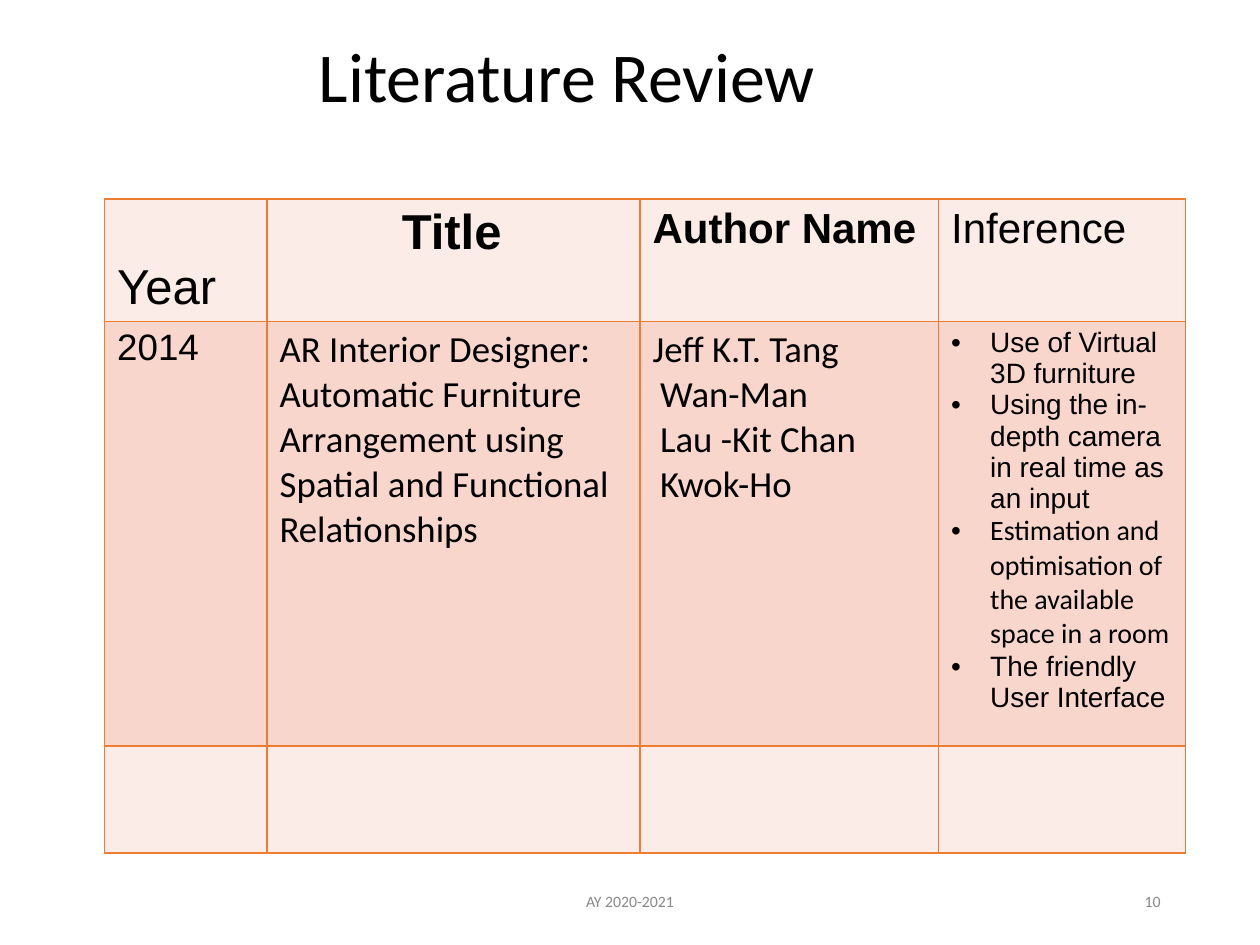
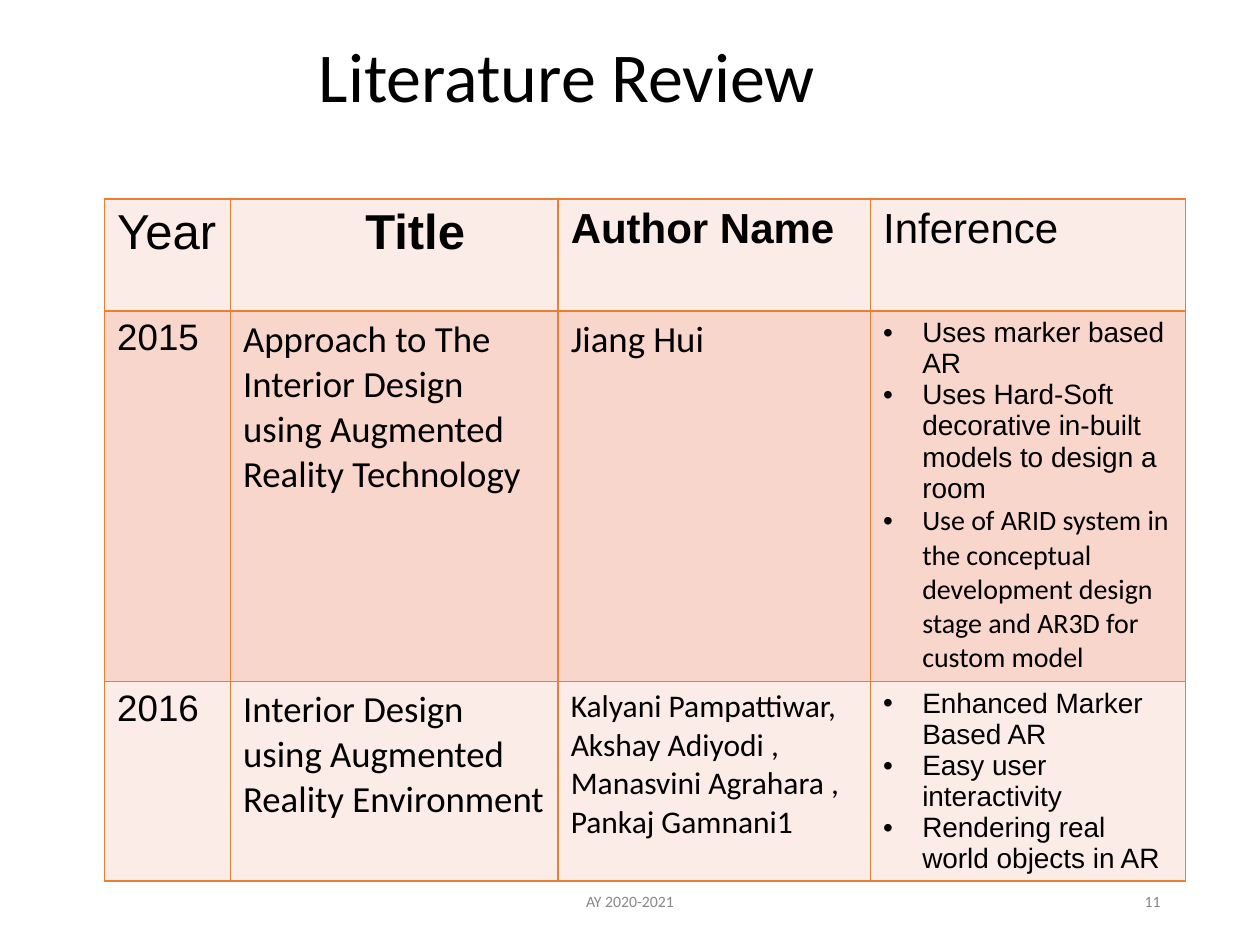
from dataclasses import dataclass

from lxml import etree
from pptx import Presentation
from pptx.dml.color import RGBColor
from pptx.enum.text import MSO_ANCHOR, MSO_AUTO_SIZE, PP_ALIGN
from pptx.oxml.ns import qn
from pptx.slide import Slide
from pptx.table import _Cell
from pptx.text.text import _Paragraph
from pptx.util import Pt

LEFT, CENTER, RIGHT = PP_ALIGN.LEFT, PP_ALIGN.CENTER, PP_ALIGN.RIGHT
TOP, MIDDLE, BOTTOM = MSO_ANCHOR.TOP, MSO_ANCHOR.MIDDLE, MSO_ANCHOR.BOTTOM

BLACK = RGBColor(0x00, 0x00, 0x00)
GREY = RGBColor(0x88, 0x88, 0x88)
WHITE = RGBColor(0xFF, 0xFF, 0xFF)
ORANGE = RGBColor(0xED, 0x7D, 0x31)
PALE = RGBColor(0xFC, 0xEC, 0xE7)
PINK = RGBColor(0xF8, 0xD6, 0xCC)
SANS, BODY = "Arial", "Calibri"

UNIT = 9144  # EMU in one px, 100 px to the inch
PAD = 10
HANG = 31


def px(n: int) -> int:
    return n * UNIT


@dataclass(frozen=True)
class Line:
    text: str
    size: int
    face: str = BODY
    bold: bool = False
    bullet: bool = False
    indent: int = 0


@dataclass(frozen=True)
class Entry:
    lines: tuple[Line, ...] = ()
    left: int = PAD
    anchor: MSO_ANCHOR = TOP


@dataclass(frozen=True)
class Review:
    page: int
    cols: tuple[int, ...]
    rows: tuple[int, ...]
    year: Entry
    papers: tuple[tuple[Entry, ...], ...]


# Shorthands for the kinds of table entry
def head(text: str, size: int, bold: bool = False, left: int = PAD,
         anchor: MSO_ANCHOR = TOP) -> Entry:
    return Entry((Line(text, size, SANS, bold),), left, anchor)


def body(*texts: str, size: int = 21) -> Entry:
    first, *rest = texts
    return Entry((Line(first, size), *(Line(t, size, indent=6) for t in rest)))


def points(*texts: str, serif: int = -1) -> Entry:
    """Bullets in the sans face; the one at index serif is in the body face."""
    return Entry(tuple(Line(t, 16, BODY if i == serif else SANS, bullet=True)
                       for i, t in enumerate(texts)))


HEADS = (
    head("Title", 28, bold=True, left=107),
    head("Author Name", 24, bold=True),
    head("Inference", 24),
)

REVIEWS = (
    Review(
        10, (129, 296, 237, 196), (97, 337, 85),
        head("Year", 28, anchor=BOTTOM),
        (
            (
                head("2014", 21),
                body("AR Interior Designer: Automatic Furniture Arrangement "
                     "using Spatial and Functional Relationships"),
                body("Jeff K.T. Tang", "Wan-Man", "Lau -Kit Chan Kwok-Ho"),
                points("Use of Virtual 3D furniture",
                       "Using the in-depth camera in real time as an input",
                       "Estimation and optimisation of the available space "
                       "in a room",
                       "The friendly User Interface", serif=2),
            ),
            (Entry(),) * 4,
        ),
    ),
    Review(
        11, (100, 260, 248, 250), (89, 294, 158),
        head("Year", 28),
        (
            (
                head("2015", 21),
                body("Approach to The Interior Design using Augmented "
                     "Reality Technology"),
                body("Jiang Hui"),
                points("Uses marker based AR",
                       "Uses Hard-Soft decorative in-built models to design "
                       "a room",
                       "Use of ARID system in the conceptual development "
                       "design stage and AR3D for custom model", serif=2),
            ),
            (
                head("2016", 21),
                body("Interior Design using Augmented Reality Environment"),
                body("Kalyani Pampattiwar, Akshay Adiyodi , "
                     "Manasvini Agrahara , Pankaj Gamnani1", size=18),
                points("Enhanced Marker Based AR", "Easy user interactivity",
                       "Rendering real world objects in AR"),
            ),
        ),
    ),
)


# Text
def style(para: _Paragraph, size: int, face: str, color: RGBColor,
          bold: bool = False) -> None:
    font = para.font
    font.size, font.name, font.bold = Pt(size), face, bold
    font.color.rgb = color


def write(para: _Paragraph, line: Line) -> None:
    para.text = line.text
    props = para._p.get_or_add_pPr()
    if line.bullet:
        props.set("marL", str(px(HANG)))
        props.set("indent", str(-px(HANG)))
        tint = etree.SubElement(props, qn("a:buClr"))
        etree.SubElement(tint, qn("a:srgbClr"), val=str(BLACK))
        etree.SubElement(props, qn("a:buFont"), typeface=SANS)
        etree.SubElement(props, qn("a:buChar"), char="•")
    elif line.indent:
        props.set("marL", str(px(line.indent)))
    style(para, line.size, line.face, BLACK, line.bold)


# Table
def border(cell: _Cell) -> None:
    props = cell._tc.get_or_add_tcPr()
    for side in ("lnL", "lnR", "lnT", "lnB"):
        edge = etree.SubElement(props, qn(f"a:{side}"), w=str(Pt(1)))
        fill = etree.SubElement(edge, qn("a:solidFill"))
        etree.SubElement(fill, qn("a:srgbClr"), val=str(ORANGE))


def fill_cell(cell: _Cell, entry: Entry, color: RGBColor) -> None:
    border(cell)
    cell.fill.solid()
    cell.fill.fore_color.rgb = color
    cell.margin_left, cell.margin_right = px(entry.left), px(PAD)
    cell.margin_top = cell.margin_bottom = px(5)
    cell.vertical_anchor = entry.anchor
    frame = cell.text_frame
    for i, line in enumerate(entry.lines):
        write(frame.add_paragraph() if i else frame.paragraphs[0], line)


def add_grid(slide: Slide, review: Review) -> None:
    rows = ((review.year, *HEADS), *review.papers)
    table = slide.shapes.add_table(
        len(rows), len(review.cols), px(83), px(158),
        px(sum(review.cols)), px(sum(review.rows))).table
    for col, width in zip(table.columns, review.cols):
        col.width = px(width)
    for r, (row, height) in enumerate(zip(rows, review.rows)):
        table.rows[r].height = px(height)
        for c, entry in enumerate(row):
            fill_cell(table.cell(r, c), entry, PINK if r % 2 else PALE)


# Title and footer
def add_title(slide: Slide) -> None:
    title = slide.shapes.title
    title.left, title.top = px(67), px(17)
    title.width, title.height = px(862), px(93)
    frame = title.text_frame
    frame.auto_size = MSO_AUTO_SIZE.NONE
    frame.vertical_anchor = MIDDLE
    frame.margin_left = px(186)
    frame.text = "Literature Review"
    para = frame.paragraphs[0]
    para.alignment, para.line_spacing = LEFT, 0.9
    style(para, 40, BODY, BLACK)


def add_note(slide: Slide, text: str, left: int, width: int,
             align: PP_ALIGN) -> None:
    box = slide.shapes.add_textbox(px(left), px(695), px(width), px(40))
    frame = box.text_frame
    frame.word_wrap, frame.vertical_anchor = True, MIDDLE
    frame.text = text
    para = frame.paragraphs[0]
    para.alignment = align
    style(para, 9, BODY, GREY)


def add_review(deck: Presentation, review: Review) -> None:
    slide = deck.slides.add_slide(deck.slide_layouts[5])
    slide.background.fill.solid()
    slide.background.fill.fore_color.rgb = WHITE
    add_title(slide)
    add_grid(slide, review)
    add_note(slide, "AY 2020-2021", 331, 338, CENTER)
    add_note(slide, str(review.page), 706, 225, RIGHT)


def main() -> None:
    deck = Presentation()
    deck.slide_width, deck.slide_height = px(1000), px(750)
    for review in REVIEWS:
        add_review(deck, review)
    deck.save("out.pptx")


if __name__ == "__main__":
    main()
